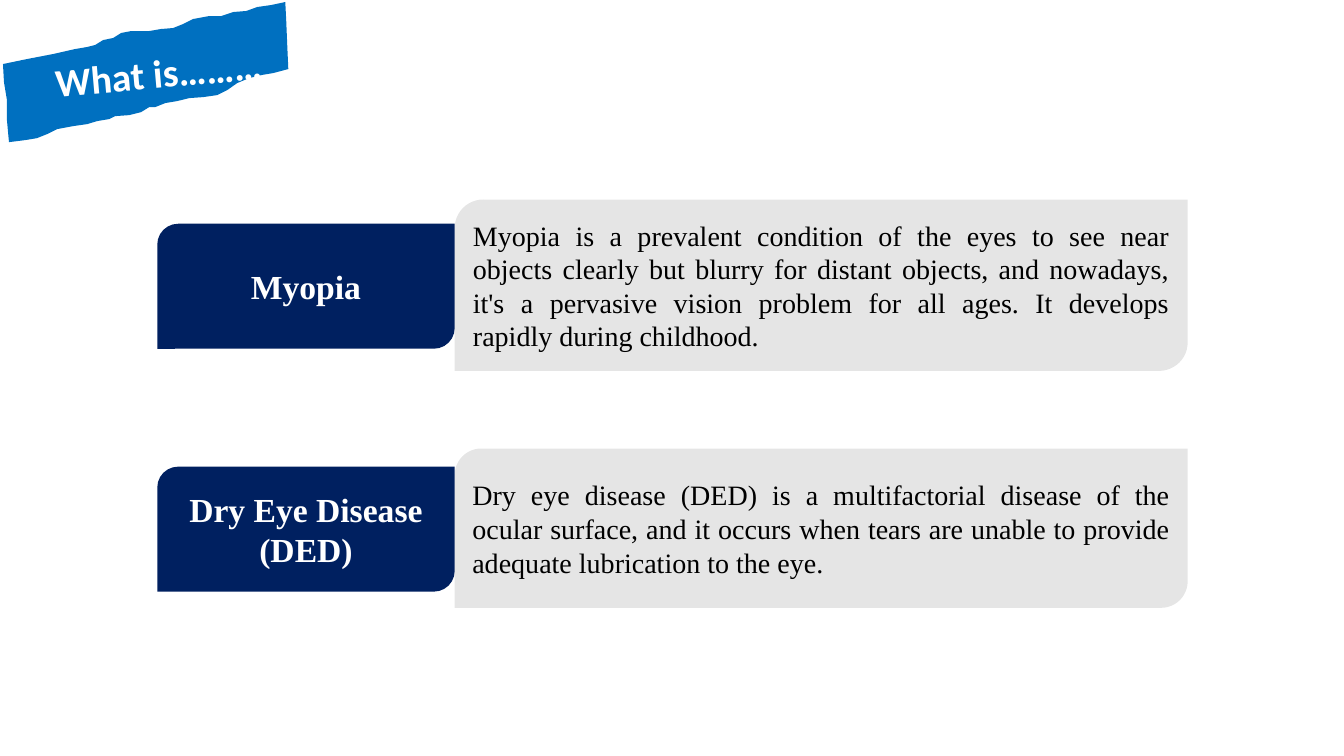
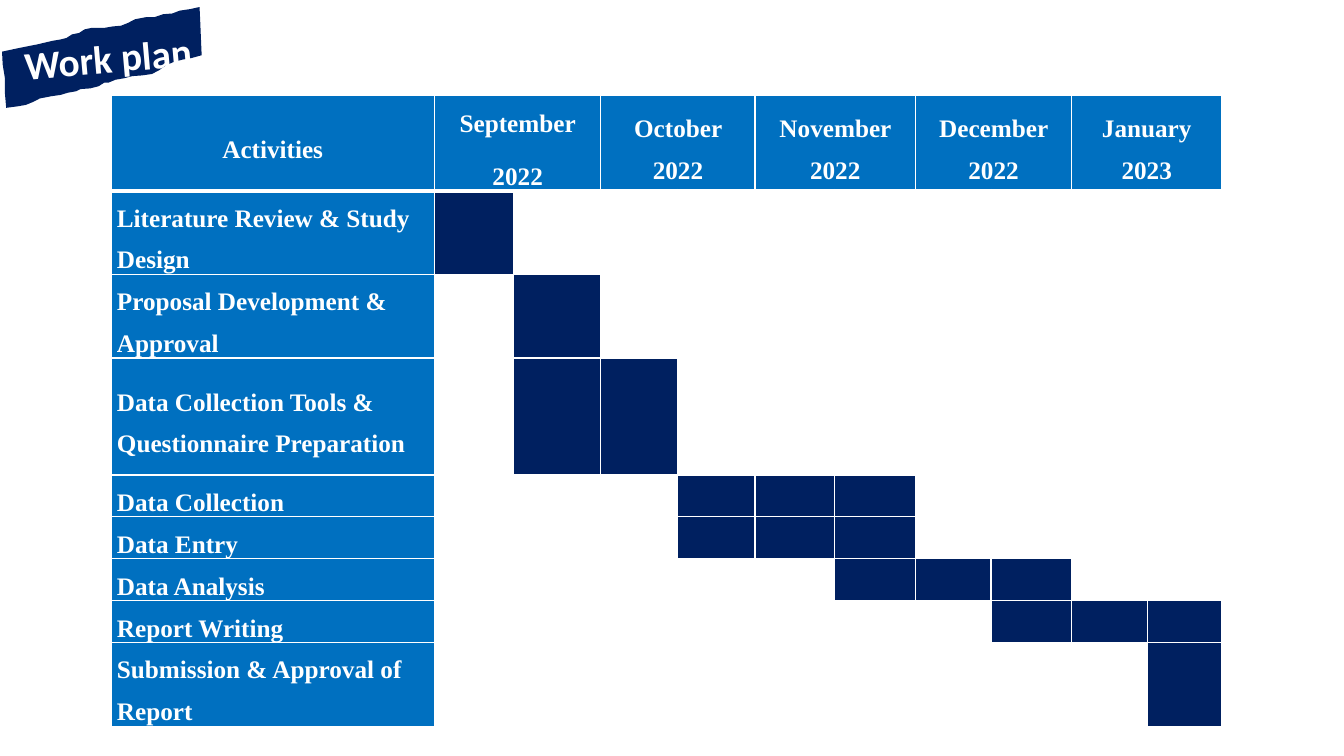
from dataclasses import dataclass
from typing import Any

from lxml import etree
from pptx import Presentation
from pptx.dml.color import RGBColor
from pptx.enum.shapes import MSO_SHAPE
from pptx.enum.text import MSO_ANCHOR, MSO_AUTO_SIZE, PP_ALIGN
from pptx.oxml.ns import qn
from pptx.util import Emu, Pt

CARD = MSO_SHAPE.ROUND_2_DIAG_RECTANGLE
MIDDLE = MSO_ANCHOR.MIDDLE
FIXED = MSO_AUTO_SIZE.NONE
LEFT, CENTER, JUST = PP_ALIGN.LEFT, PP_ALIGN.CENTER, PP_ALIGN.JUSTIFY
SCALE = 9144


def px(size: float) -> Emu:
    return Emu(round(size * SCALE))


@dataclass(frozen=True)
class Font:
    name: str
    size: int
    bold: bool
    color: str


@dataclass(frozen=True)
class Theme:
    blue: str = "0070C0"
    navy: str = "002060"
    white: str = "FFFFFF"
    black: str = "000000"
    tint: int = 10
    title: Font = Font("Calibri", 28, True, "FFFFFF")
    label: Font = Font("Times New Roman", 24, True, "FFFFFF")
    text: Font = Font("Times New Roman", 20, False, "000000")
    cell: Font = Font("Times New Roman", 18, True, "FFFFFF")


@dataclass(frozen=True)
class Box:
    x: int
    y: int
    w: int
    h: int


@dataclass(frozen=True)
class Term:
    name: str
    text: str
    tag: Box
    body: Box


@dataclass(frozen=True)
class Task:
    name: str
    start: int
    span: int


@dataclass(frozen=True)
class Banner:
    text: str
    color: str
    box: Box
    mid: tuple[int, int]


THEME = Theme()
TILT = -5
TORN_W, TORN_H = 285, 140
TORN = [
    (0, 62), (24, 57), (50, 52), (72, 47), (84, 45), (92, 43), (100, 38),
    (110, 36), (118, 31), (128, 29), (146, 29), (158, 27), (170, 26),
    (180, 22), (190, 17), (206, 14), (218, 14), (230, 10), (243, 9),
    (254, 5), (268, 3), (282, 0), (283, 20), (284, 44), (285, 67),
    (270, 71), (258, 73), (246, 76), (234, 81), (224, 88), (214, 93),
    (200, 95), (186, 96), (174, 99), (162, 101), (152, 105), (146, 105),
    (138, 110), (126, 113), (112, 114), (106, 117), (94, 119), (84, 122),
    (70, 124), (54, 127), (44, 132), (34, 136), (22, 138), (6, 140),
    (4, 118), (4, 98), (1, 80),
]

TERMS = [
    Term(
        "Myopia",
        "Myopia is a prevalent condition of the eyes to see near objects "
        "clearly but blurry for distant objects, and nowadays, it's a "
        "pervasive vision problem for all ages. It develops rapidly during "
        "childhood.",
        Box(156, 222, 295, 124),
        Box(451, 198, 727, 170),
    ),
    Term(
        "Dry Eye Disease (DED)",
        "Dry eye disease (DED) is a multifactorial disease of the ocular "
        "surface, and it occurs when tears are unable to provide adequate "
        "lubrication to the eye.",
        Box(156, 463, 295, 124),
        Box(451, 445, 727, 158),
    ),
]

GRID = Box(110, 95, 1102, 624)
COLS = [321, 78, 87, 76, 77, 79, 80, 75, 80, 75, 74]
ROWS = [76, 76, 76, 116, 36, 35, 35, 35, 76]
MONTHS = [
    ["September", "2022"], ["October 2022"], ["November 2022"],
    ["December 2022"], ["January 2023"],
]
TASKS = [
    Task("Literature Review & Study Design", 1, 1),
    Task("Proposal Development & Approval", 2, 1),
    Task("Data Collection Tools & Questionnaire Preparation", 2, 2),
    Task("Data Collection", 4, 3),
    Task("Data Entry", 4, 3),
    Task("Data Analysis", 6, 3),
    Task("Report Writing", 8, 3),
    Task("Submission & Approval of Report", 10, 1),
]

CELL_FORM = {
    "margin_left": px(6), "margin_right": px(6),
    "margin_top": 0, "margin_bottom": 0, "vertical_anchor": MIDDLE,
}
CARD_FORM = {"word_wrap": True, "vertical_anchor": MIDDLE}
TITLE_FORM = {
    "word_wrap": False, "auto_size": FIXED, "vertical_anchor": MIDDLE,
    "margin_left": 0, "margin_right": 0, "margin_top": 0, "margin_bottom": 0,
}
PLAIN = {"line_spacing": 1.0, "space_before": Pt(0), "space_after": Pt(0)}
LOOSE = {"line_spacing": 1.5, "space_before": Pt(0), "space_after": Pt(8)}


def put(item: Any, form: dict[str, Any]) -> None:
    for key, value in form.items():
        setattr(item, key, value)


def paint(item: Any, color: str) -> None:
    item.fill.solid()
    item.fill.fore_color.rgb = RGBColor.from_string(color)


def write(frame: Any, lines: list[str], font: Font, align: Any,
          form: dict[str, Any]) -> None:
    for i, line in enumerate(lines):
        para = frame.add_paragraph() if i else frame.paragraphs[0]
        put(para, {"alignment": align, **form})
        run = para.add_run()
        run.text = line
        put(run.font, {"name": font.name, "size": Pt(font.size),
                       "bold": font.bold})
        run.font.color.rgb = RGBColor.from_string(font.color)


def fade(shape: Any, share: int) -> None:
    color = shape.element.spPr.find(qn("a:solidFill"))[0]
    etree.SubElement(color, qn("a:alpha"), val=str(share * 1000))


def edge(cell: Any, side: str, width: int) -> None:
    line = etree.SubElement(cell._tc.get_or_add_tcPr(), qn(f"a:ln{side}"),
                            w=str(Pt(width)))
    fill = etree.SubElement(line, qn("a:solidFill"))
    etree.SubElement(fill, qn("a:srgbClr"), val=THEME.white)


def add_title(slide: Any, banner: Banner) -> None:
    box = banner.box
    scale = (box.w / TORN_W * SCALE, box.h / TORN_H * SCALE)
    pen = slide.shapes.build_freeform(*TORN[0], scale=scale)
    pen.add_line_segments(TORN[1:], close=True)
    torn = pen.convert_to_shape(px(box.x), px(box.y))
    paint(torn, banner.color)
    torn.line.fill.background()
    torn.shadow.inherit = False
    title = slide.shapes.title
    title.element.addprevious(torn.element)
    wide, high = 240, 54
    put(title, {
        "left": px(banner.mid[0] - wide / 2),
        "top": px(banner.mid[1] - high / 2),
        "width": px(wide), "height": px(high), "rotation": TILT,
    })
    put(title.text_frame, TITLE_FORM)
    write(title.text_frame, [banner.text], THEME.title, CENTER, PLAIN)


def add_card(slide: Any, box: Box, text: str, color: str, font: Font,
             align: Any) -> Any:
    card = slide.shapes.add_shape(CARD, px(box.x), px(box.y),
                                  px(box.w), px(box.h))
    paint(card, color)
    card.line.fill.background()
    card.shadow.inherit = False
    put(card.text_frame, CARD_FORM)
    write(card.text_frame, [text], font, align, PLAIN)
    return card


def add_term(slide: Any, term: Term) -> None:
    add_card(slide, term.tag, term.name, THEME.navy, THEME.label, CENTER)
    body = add_card(slide, term.body, term.text, THEME.black, THEME.text, JUST)
    fade(body, THEME.tint)


def add_plan(slide: Any) -> None:
    frame = slide.shapes.add_table(len(ROWS), len(COLS), px(GRID.x),
                                   px(GRID.y), px(GRID.w), px(GRID.h))
    table = frame.table
    put(table, {"first_row": False, "horz_banding": False})
    for col, width in zip(table.columns, COLS):
        col.width = px(width)
    for row, height in zip(table.rows, ROWS):
        row.height = px(height)
    for r in range(len(ROWS)):
        for c in range(len(COLS)):
            cell = table.cell(r, c)
            put(cell, CELL_FORM)
            for side in "LRTB":
                heavy = (r, side) in ((0, "B"), (1, "T"))
                edge(cell, side, 3 if heavy else 1)
            paint(cell, THEME.blue if r == 0 or c == 0 else THEME.white)
    write(table.cell(0, 0).text_frame, ["Activities"], THEME.cell, CENTER,
          LOOSE)
    for i, month in enumerate(MONTHS):
        head = table.cell(0, 2 * i + 1)
        head.merge(table.cell(0, 2 * i + 2))
        write(head.text_frame, month, THEME.cell, CENTER, LOOSE)
    for r, task in enumerate(TASKS, 1):
        write(table.cell(r, 0).text_frame, [task.name], THEME.cell, LEFT,
              LOOSE)
        for c in range(task.start, task.start + task.span):
            paint(table.cell(r, c), THEME.navy)


def main() -> None:
    deck = Presentation()
    put(deck, {"slide_width": px(1333), "slide_height": px(750)})
    layout = deck.slide_layouts[5]

    terms = deck.slides.add_slide(layout)
    add_title(terms, Banner("What is………", THEME.blue,
                            Box(3, 2, 283, 139), (157, 72)))
    for term in TERMS:
        add_term(terms, term)

    plan = deck.slides.add_slide(layout)
    add_title(plan, Banner("Work plan", THEME.navy,
                           Box(2, 7, 198, 100), (107, 57)))
    add_plan(plan)

    deck.save("out.pptx")


if __name__ == "__main__":
    main()
